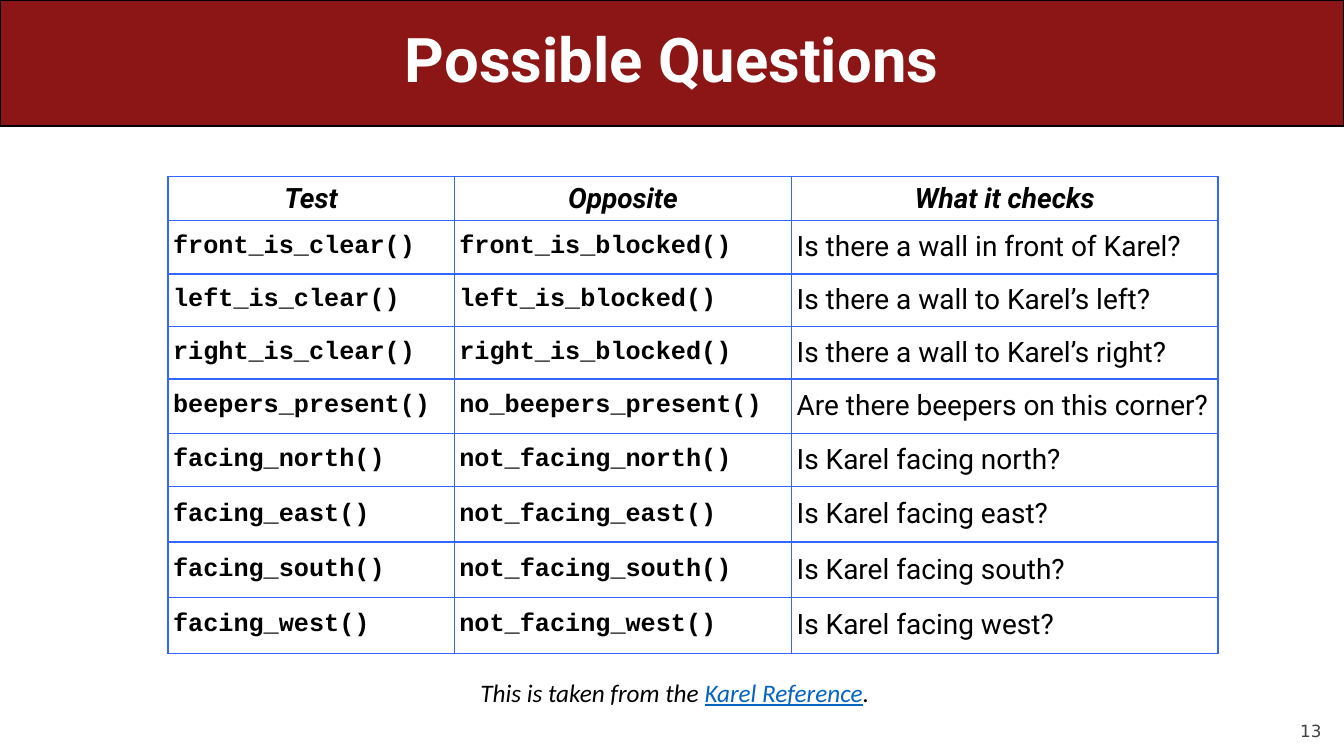
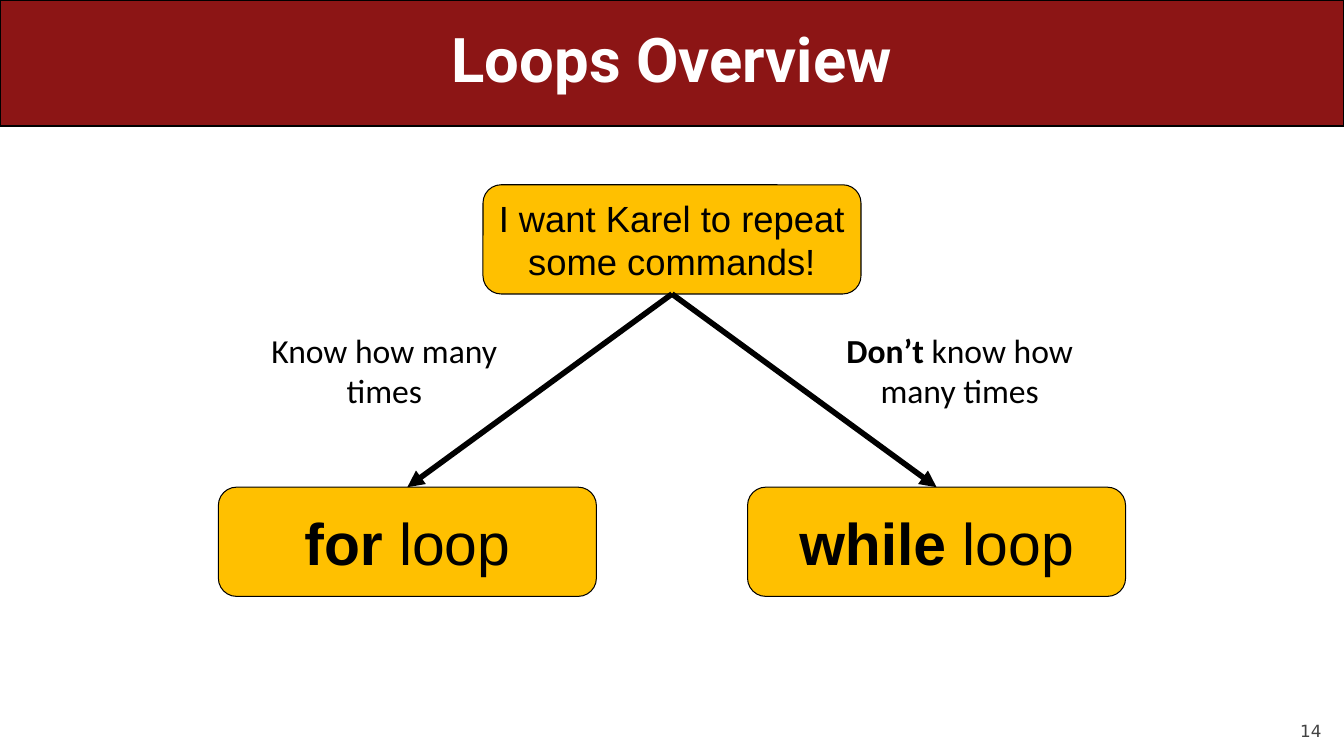
from dataclasses import dataclass

from lxml.etree import SubElement as Sub
from pptx import Presentation
from pptx.dml.color import RGBColor as RGB
from pptx.enum.shapes import MSO_CONNECTOR as Line, MSO_SHAPE as Shape
from pptx.enum.text import MSO_ANCHOR as Anchor, PP_ALIGN as Align
from pptx.oxml.ns import qn
from pptx.util import Pt


@dataclass(frozen=True)
class Theme:
    # Colours
    band: str = "8C1515"
    node: str = "FFC000"
    grid: str = "3366FF"
    link: str = "0563C1"
    ink: str = "000000"
    paper: str = "FFFFFF"
    muted: str = "424242"
    # Fonts
    head: str = "Roboto"
    code: str = "Courier New"
    body: str = "Calibri"
    plain: str = "Arial"
    number: str = "DejaVu Sans"
    # Type sizes
    title: int = 44
    choice: int = 42
    goal: int = 26
    label: int = 24
    cell: int = 20
    small: int = 18
    tiny: int = 12


T = Theme()
WIDE, HIGH = 960, 540

TESTS = [
    ("Test", "Opposite", "What it checks"),
    ("front_is_clear()", "front_is_blocked()", "Is there a wall in front of Karel?"),
    ("left_is_clear()", "left_is_blocked()", "Is there a wall to Karel’s left?"),
    ("right_is_clear()", "right_is_blocked()", "Is there a wall to Karel’s right?"),
    ("beepers_present()", "no_beepers_present()", "Are there beepers on this corner?"),
    *[(f"facing_{way}()", f"not_facing_{way}()", f"Is Karel facing {way}?")
      for way in ("north", "east", "south", "west")],
]
COLS = (204.5, 241, 304.5)
ROWS = (30.5, 38.5, 37.5, 37.5, 39, 38, 39.5, 39.5, 40)


# Text: each run is (text, bold, colour, underline), the last three optional
def write(frame, runs, size, face, color=T.ink, align=Align.CENTER,
          anchor=Anchor.MIDDLE, bold=False, italic=False, inset=None):
    frame.word_wrap = True
    frame.vertical_anchor = anchor
    if inset is not None:
        frame.margin_left = frame.margin_right = Pt(inset)
        frame.margin_top = frame.margin_bottom = Pt(inset)
    para = frame.paragraphs[0]
    para.alignment = align
    font = para.font
    font.size, font.name = Pt(size), face
    font.bold, font.italic = bold, italic
    font.color.rgb = RGB.from_string(color)
    for text, *look in runs:
        run = para.add_run()
        run.text = text
        if look:
            heavy, tint, under = (*look, None, None)[:3]
            run.font.bold = heavy
            run.font.underline = under
            if tint:
                run.font.color.rgb = RGB.from_string(tint)
    return para


def note(slide, box, runs, size, face, **style):
    area = slide.shapes.add_textbox(*map(Pt, box))
    return write(area.text_frame, runs, size, face, **style)


def panel(slide, box, fill):
    shape = slide.shapes.add_shape(Shape.ROUNDED_RECTANGLE, *map(Pt, box))
    shape.shadow.inherit = False
    shape.fill.solid()
    shape.fill.fore_color.rgb = RGB.from_string(fill)
    shape.line.color.rgb = RGB.from_string(T.ink)
    shape.line.width = Pt(0.75)
    return shape


# Shared parts: page number, band and title
def page(deck, title, number):
    slide = deck.slides.add_slide(deck.slide_layouts[6])
    para = note(slide, (864, 500.5, 80, 29), [(str(number),)], T.tiny, T.number,
                color=T.muted, align=Align.RIGHT, anchor=Anchor.BOTTOM, inset=0)
    para.space_before = Pt(5)
    band = panel(slide, (0, 0, WIDE, 90), T.band)
    band.adjustments[0] = 0
    para = note(slide, (36, 0, WIDE - 72, 90), [(title,)], T.title, T.head,
                color=T.paper, bold=True)
    para.line_spacing = 0.9
    return slide


def border(cell):
    props = cell._tc.get_or_add_tcPr()
    for spot, side in enumerate(("lnL", "lnR", "lnT", "lnB")):
        edge = props.makeelement(qn(f"a:{side}"), {"w": str(Pt(1))})
        fill = Sub(edge, qn("a:solidFill"))
        Sub(fill, qn("a:srgbClr"), val=T.grid)
        props.insert(spot, edge)


def grid(slide, left, top):
    table = slide.shapes.add_table(len(ROWS), len(COLS), Pt(left), Pt(top),
                                   Pt(sum(COLS)), Pt(sum(ROWS))).table
    table.horz_banding = False
    for col, width in zip(table.columns, COLS):
        col.width = Pt(width)
    for r, (row, height) in enumerate(zip(table.rows, ROWS)):
        row.height = Pt(height)
        for c, cell in enumerate(row.cells):
            top_row, code = r == 0, r > 0 and c < 2
            cell.fill.solid()
            cell.fill.fore_color.rgb = RGB.from_string(T.paper)
            border(cell)
            cell.margin_left = cell.margin_right = Pt(3.6)
            cell.margin_top = cell.margin_bottom = Pt(3.6)
            write(cell.text_frame, [(TESTS[r][c],)],
                  T.small if code else T.cell, T.code if code else T.head,
                  align=Align.CENTER if top_row else Align.LEFT,
                  bold=top_row or code, italic=top_row)
            cell.vertical_anchor = Anchor.BOTTOM if top_row else Anchor.MIDDLE


def node(slide, mid, top, runs, size):
    wide, high = 270, 78
    shape = panel(slide, (mid - wide / 2, top, wide, high), T.node)
    write(shape.text_frame, runs, size, T.plain)
    return shape


def arrow(slide, start, end):
    line = slide.shapes.add_connector(Line.STRAIGHT, 0, 0, 0, 0)
    line.begin_connect(start, 2)
    line.end_connect(end, 0)
    line.line.color.rgb = RGB.from_string(T.ink)
    line.line.width = Pt(4)
    Sub(line.line._get_or_add_ln(), qn("a:tailEnd"), type="triangle")
    Sub(line._element.spPr, qn("a:effectLst"))


# Decision tree: one goal leads to two kinds of loop
def tree(slide, mid, top):
    goal = node(slide, mid, top, [("I want Karel to repeat some commands!",)], T.goal)
    sides = [
        (-1, [("for", True), (" loop",)], [("Know how many times",)]),
        (1, [("while ", True), ("loop",)], [("Don’t ", True), ("know how many times",)]),
    ]
    for side, name, reason in sides:
        choice = node(slide, mid + side * 189, top + 216, name, T.choice)
        arrow(slide, goal, choice)
        wide = 189
        note(slide, (mid + side * 205.5 - wide / 2, top + 100, wide, 65.5),
             reason, T.label, T.body, anchor=Anchor.TOP)


def main():
    deck = Presentation()
    deck.slide_width, deck.slide_height = Pt(WIDE), Pt(HIGH)

    slide = page(deck, "Possible Questions", 13)
    note(slide, (152, 480, 660, 29),
         [("This is taken from the ",), ("Karel Reference", False, T.link, True), (".",)],
         T.small, T.body, italic=True, anchor=Anchor.TOP)
    grid(slide, 120, 126)

    slide = page(deck, "Loops Overview", 14)
    tree(slide, WIDE / 2, 132)

    deck.save("out.pptx")


if __name__ == "__main__":
    main()
